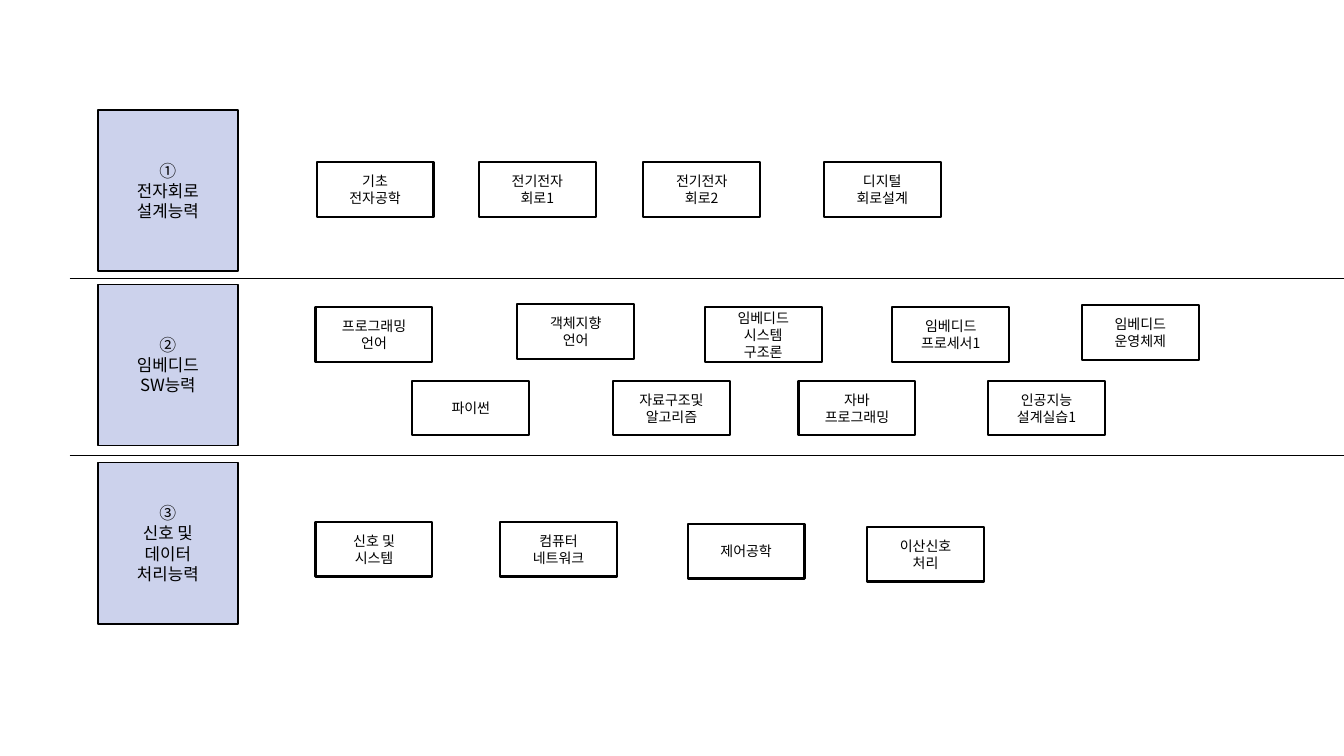
from lxml.etree import SubElement
from pptx import Presentation
from pptx.dml.color import RGBColor
from pptx.enum.shapes import MSO_CONNECTOR as Connector, MSO_SHAPE as Shape
from pptx.enum.text import MSO_ANCHOR as Anchor, PP_ALIGN as Align
from pptx.oxml.ns import qn
from pptx.util import Inches, Pt

BLACK = RGBColor(0x00, 0x00, 0x00)
LAVENDER = RGBColor(0xCC, 0xD2, 0xEC)
FONT = "Noto Sans CJK KR"

SLIDE_WIDTH, SLIDE_HEIGHT = 13.33, 7.5
ABILITY_LEFT, ABILITY_SIZE = 0.97, (1.39, 1.6)
COURSE_SIZE = (1.16, 0.54)
DIVIDER_LEFT = 0.69
DIVIDER_TOPS = (2.76, 4.52)

ABILITIES = [
    (1.09, "①\n전자회로\n설계능력"),
    (2.82, "②\n임베디드\nSW능력"),
    (4.59, "③\n신호 및\n데이터\n처리능력"),
]

COURSES = [
    (3.14, 1.61, "기초\n전자공학"),
    (4.75, 1.61, "전기전자\n회로1"),
    (6.38, 1.61, "전기전자\n회로2"),
    (8.17, 1.61, "디지털\n회로설계"),
    (3.13, 3.05, "프로그래밍\n언어"),
    (5.13, 3.02, "객체지향\n언어"),
    (6.99, 3.05, "임베디드\n시스템\n구조론"),
    (8.85, 3.05, "임베디드\n프로세서1"),
    (10.73, 3.03, "임베디드\n운영체제"),
    (4.09, 3.78, "파이썬"),
    (6.08, 3.78, "자료구조및\n알고리즘"),
    (7.92, 3.78, "자바\n프로그래밍"),
    (9.8, 3.78, "인공지능\n설계실습1"),
    (3.13, 5.18, "신호 및\n시스템"),
    (4.96, 5.18, "컴퓨터\n네트워크"),
    (6.82, 5.2, "제어공학"),
    (8.6, 5.23, "이산신호\n처리"),
]


def style_paragraph(para, size):
    para.alignment = Align.CENTER
    para.font.size = Pt(size)
    para.font.color.rgb = BLACK
    para.font.name = FONT
    properties = para._p.pPr.find(qn("a:defRPr"))
    SubElement(properties, qn("a:ea")).set("typeface", FONT)


def add_box(page, left, top, size, text, text_size, line_width, fill=None):
    width, height = size
    box = page.shapes.add_shape(
        Shape.RECTANGLE, Inches(left), Inches(top), Inches(width), Inches(height)
    )
    box.shadow.inherit = False
    if fill is None:
        box.fill.background()
    else:
        box.fill.solid()
        box.fill.fore_color.rgb = fill
    box.line.color.rgb = BLACK
    box.line.width = Pt(line_width)
    frame = box.text_frame
    frame.word_wrap = True
    frame.vertical_anchor = Anchor.MIDDLE
    frame.text = text
    for para in frame.paragraphs:
        style_paragraph(para, text_size)


def add_divider(page, top):
    divider = page.shapes.add_connector(
        Connector.STRAIGHT,
        Inches(DIVIDER_LEFT), Inches(top), Inches(SLIDE_WIDTH), Inches(top),
    )
    divider.line.color.rgb = BLACK
    divider.line.width = Pt(0.5)
    SubElement(divider._element.spPr, qn("a:effectLst"))


def main():
    deck = Presentation()
    deck.slide_width = Inches(SLIDE_WIDTH)
    deck.slide_height = Inches(SLIDE_HEIGHT)
    page = deck.slides.add_slide(deck.slide_layouts[6])
    for top, text in ABILITIES:
        add_box(page, ABILITY_LEFT, top, ABILITY_SIZE, text, 12, 1, LAVENDER)
    for left, top, text in COURSES:
        add_box(page, left, top, COURSE_SIZE, text, 10, 1.5)
    for top in DIVIDER_TOPS:
        add_divider(page, top)
    deck.save("out.pptx")


if __name__ == "__main__":
    main()
